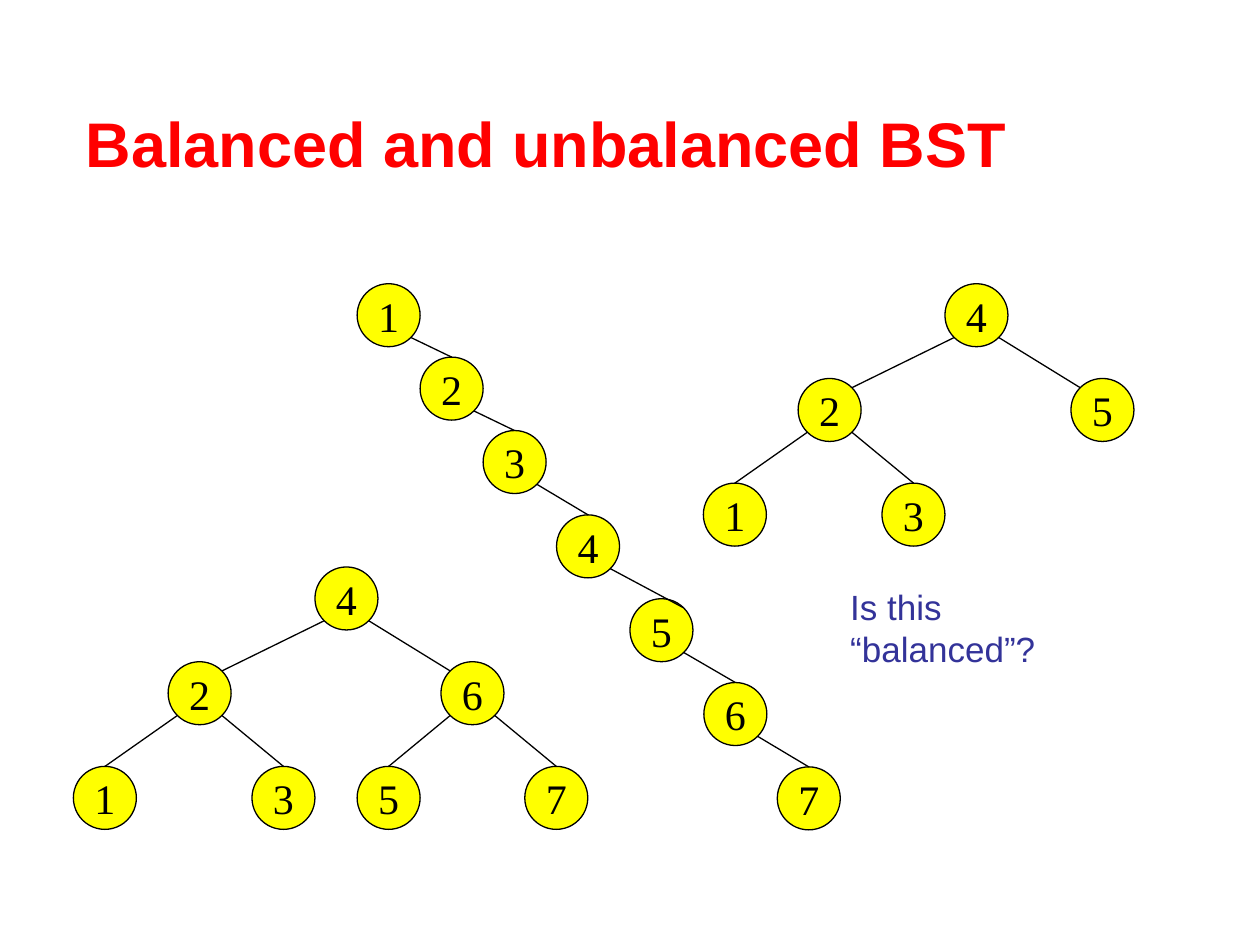
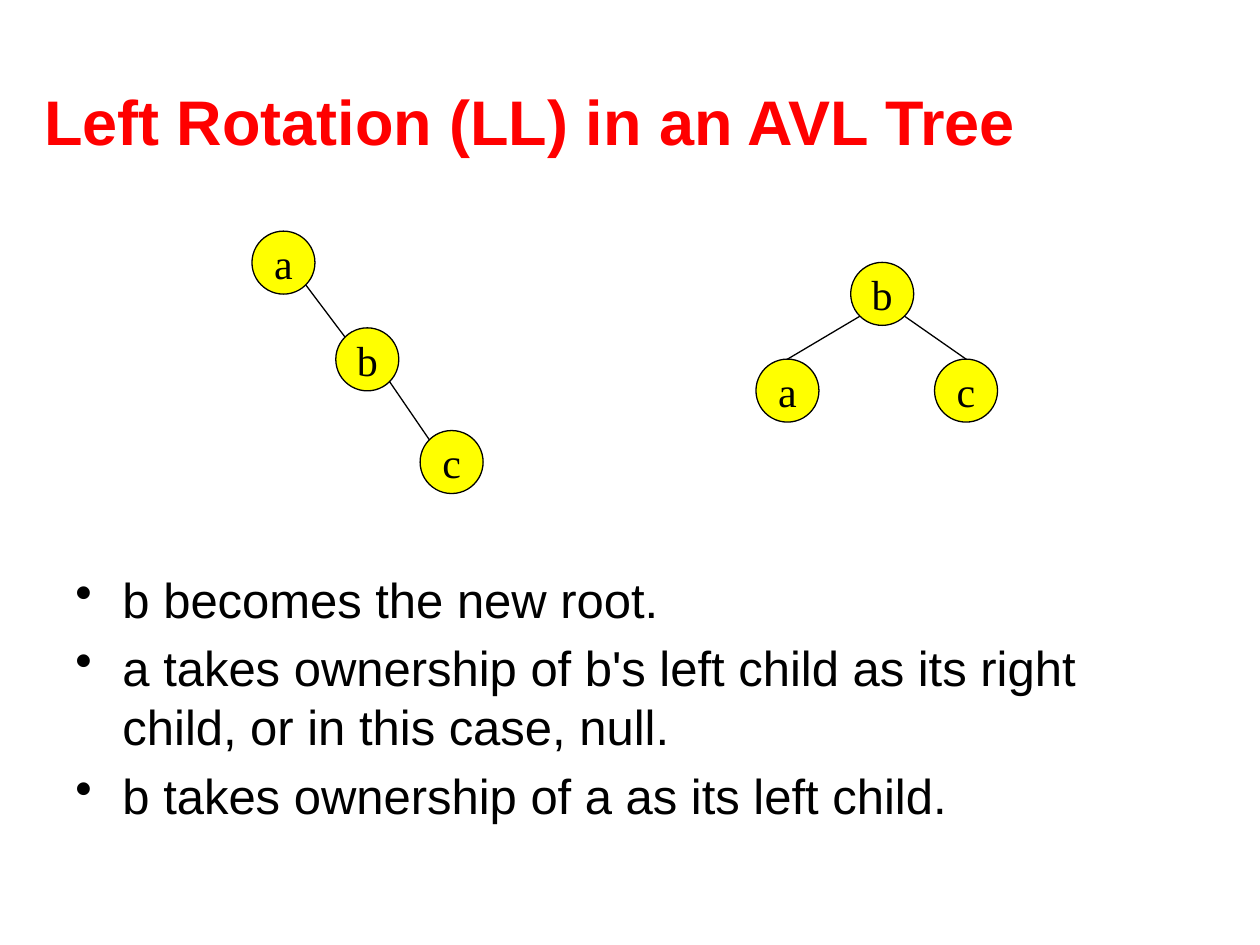
from math import sqrt

from lxml.etree import SubElement
from pptx import Presentation
from pptx.dml.color import RGBColor
from pptx.enum.shapes import MSO_CONNECTOR, MSO_SHAPE
from pptx.enum.text import MSO_ANCHOR, PP_ALIGN
from pptx.oxml.ns import qn
from pptx.util import Cm, Pt

TITLE_RED = "FF0000"
NODE_YELLOW = "FFFF00"
NOTE_BLUE = "333399"
BLACK = "000000"
SANS = "Arial"
SERIF = "Times New Roman"

NODE_SIZE = 1.27
CENTER = NODE_SIZE / 2
NEAR = CENTER * (1 - 1 / sqrt(2))
FAR = NODE_SIZE - NEAR
CORNERS = {"top left": (NEAR, NEAR), "top right": (FAR, NEAR)}

SMALL_TREE = {"4": (4.87, 0), "2": (1.91, 1.91), "5": (7.41, 1.91),
              "1": (0, 4.02), "3": (3.6, 4.02)}
SMALL_EDGES = [("4", "2", "top right"), ("4", "5", "top left"),
               ("2", "1", "top"), ("2", "3", "top")]
FULL_TREE = {"4": (4.87, 0), "2": (1.91, 1.91), "6": (7.41, 1.91), "1": (0, 4.02),
             "3": (3.6, 4.02), "5": (5.72, 4.02), "7": (9.1, 4.02)}
FULL_EDGES = [("4", "2", "top right"), ("4", "6", "top left"), ("2", "1", "top"),
              ("2", "3", "top"), ("6", "5", "top"), ("6", "7", "top")]
CHAIN = {"1": (0, 0), "2": (1.27, 1.48), "3": (2.54, 2.96), "4": (4.02, 4.66),
         "5": (5.5, 6.35), "6": (6.99, 8.04), "7": (8.47, 9.74)}
CHAIN_EDGES = [(parent, child, "top right" if child == "5" else "top")
               for parent, child in zip("123456", "234567")]
BEFORE_ROTATION = {"a": (0, 0), "b": (1.69, 1.95), "c": (3.39, 4.02)}
BEFORE_EDGES = [("a", "b", "top left"), ("b", "c", "top left")]
AFTER_ROTATION = {"b": (1.91, 0), "a": (0, 1.95), "c": (3.6, 1.95)}
AFTER_EDGES = [("b", "a", "top"), ("b", "c", "top")]

ROTATION_STEPS = [
    "b becomes the new root.",
    "a takes ownership of b's left child as its right child, or in this case, null.",
    "b takes ownership of a as its left child.",
]


def color(hex_string):
    """Turn a hex string into a colour."""
    return RGBColor.from_string(hex_string)


def style_font(paragraph, name, size, hex_string, bold=False):
    """Set the font of a whole paragraph."""
    font = paragraph.font
    font.name, font.size, font.bold = name, Pt(size), bold
    font.color.rgb = color(hex_string)


def add_text(slide, box, lines, size, hex_string, bold=False, anchor=MSO_ANCHOR.TOP):
    """Add a wrapping text box with one paragraph per line and return its paragraphs."""
    frame = slide.shapes.add_textbox(*map(Cm, box)).text_frame
    frame.word_wrap = True
    frame.vertical_anchor = anchor
    frame.text = "\n".join(lines)
    for paragraph in frame.paragraphs:
        style_font(paragraph, SANS, size, hex_string, bold)
    return frame.paragraphs


def add_title(slide, box, text):
    """Add the bold red slide title."""
    add_text(slide, box, [text], 36, TITLE_RED, True, MSO_ANCHOR.MIDDLE)


def add_bullets(slide, box, lines):
    """Add a bulleted list with hanging indents."""
    for paragraph in add_text(slide, box, lines, 28, BLACK):
        paragraph.space_before = Pt(5.6)
        properties = paragraph._p.get_or_add_pPr()
        properties.set("marL", str(Cm(0.95)))
        properties.set("indent", str(-Cm(0.95)))
        bullet = properties.makeelement(qn("a:buChar"), {"char": "•"})
        properties.insert_element_before(bullet, "a:tabLst", "a:defRPr", "a:extLst")


def add_node(slide, left, top, label):
    """Add a labelled tree node."""
    node = slide.shapes.add_shape(
        MSO_SHAPE.OVAL, Cm(left), Cm(top), Cm(NODE_SIZE), Cm(NODE_SIZE))
    node.shadow.inherit = False
    node.fill.solid()
    node.fill.fore_color.rgb = color(NODE_YELLOW)
    node.line.color.rgb = color(BLACK)
    node.line.width = Pt(0.75)
    frame = node.text_frame
    frame.word_wrap = False
    frame.vertical_anchor = MSO_ANCHOR.MIDDLE
    frame.text = label
    paragraph = frame.paragraphs[0]
    paragraph.alignment = PP_ALIGN.CENTER
    style_font(paragraph, SERIF, 24, BLACK)
    return node


def add_edge(slide, parent, child, site):
    """Join the lower side of a parent to the given site of its child."""
    start_x = FAR if child.left > parent.left else NEAR
    end_x, end_y = CORNERS.get(site, (CENTER, 0))
    edge = slide.shapes.add_connector(
        MSO_CONNECTOR.STRAIGHT, parent.left + Cm(start_x), parent.top + Cm(FAR),
        child.left + Cm(end_x), child.top + Cm(end_y))
    if site == "top":
        edge.end_connect(child, 0)
    edge.line.color.rgb = color(BLACK)
    edge.line.width = Pt(0.75)
    SubElement(edge._element.spPr, qn("a:effectLst"))


def add_tree(slide, left, top, places, edges):
    """Draw a tree whose node places are relative to its top left corner."""
    nodes = {label: add_node(slide, left + x, top + y, label)
             for label, (x, y) in places.items()}
    for parent, child, site in edges:
        add_edge(slide, nodes[parent], nodes[child], site)


def build_balance_slide(slide):
    """Compare balanced and unbalanced search trees."""
    add_title(slide, (1.48, 1.27, 22.43, 3.18), "Balanced and unbalanced BST")
    add_tree(slide, 14.18, 5.72, SMALL_TREE, SMALL_EDGES)
    add_tree(slide, 7.2, 5.72, CHAIN, CHAIN_EDGES)
    add_tree(slide, 1.48, 11.43, FULL_TREE, FULL_EDGES)
    add_text(slide, (16.89, 11.68, 5.8, 1.9), ["Is this “balanced”?"], 20, NOTE_BLUE)


def build_rotation_slide(slide):
    """Show a left rotation before and after, with its steps."""
    add_title(slide, (0.64, 1.48, 22.86, 1.91), "Left Rotation (LL) in an AVL Tree")
    add_bullets(slide, (1.27, 11.35, 22.86, 5.66), ROTATION_STEPS)
    add_tree(slide, 15.24, 5.29, AFTER_ROTATION, AFTER_EDGES)
    add_tree(slide, 5.08, 4.66, BEFORE_ROTATION, BEFORE_EDGES)


def main():
    """Build and save the presentation."""
    presentation = Presentation()
    presentation.slide_width, presentation.slide_height = Cm(25.4), Cm(19.05)
    for build in (build_balance_slide, build_rotation_slide):
        build(presentation.slides.add_slide(presentation.slide_layouts[6]))
    presentation.save("out.pptx")


if __name__ == "__main__":
    main()
